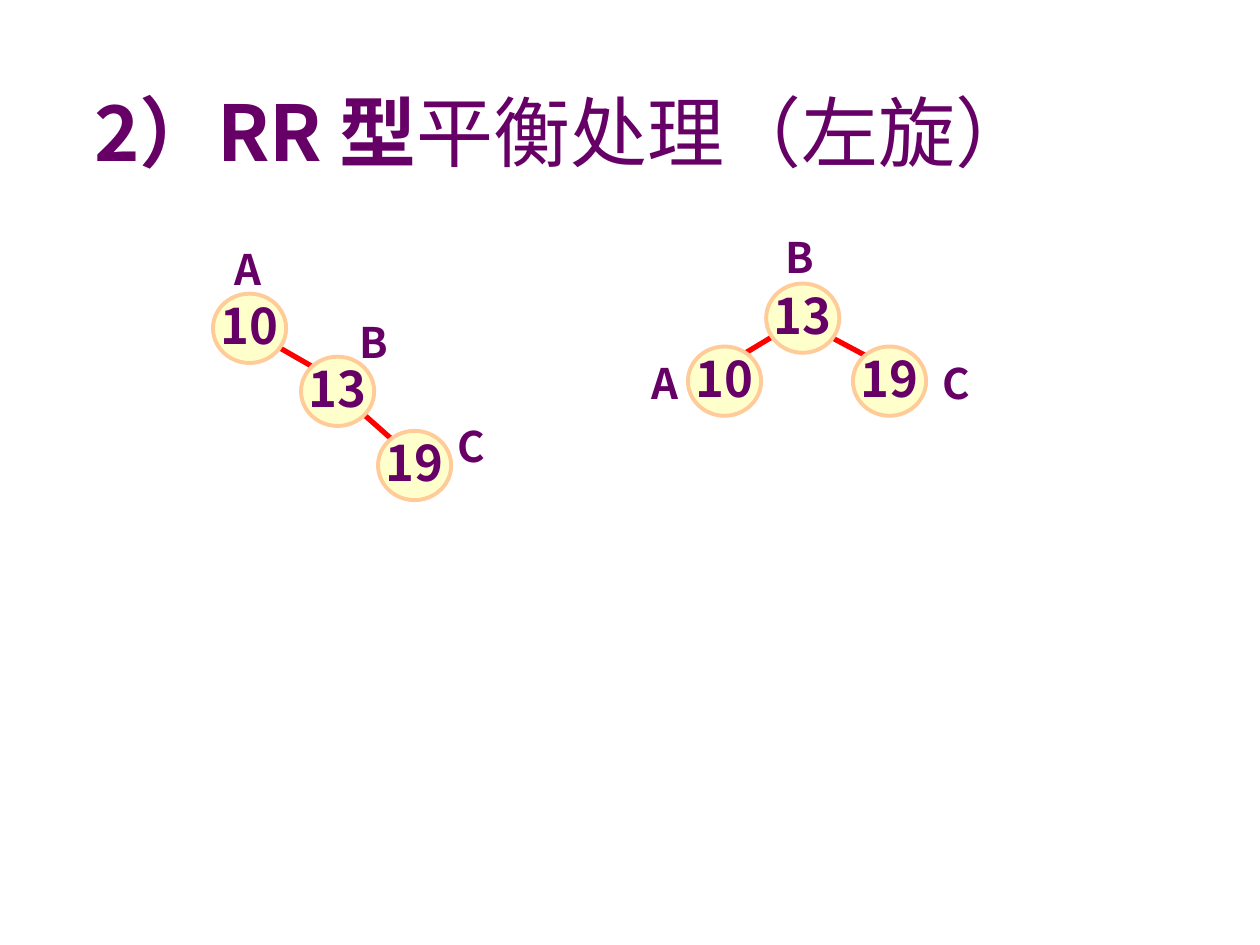
from lxml import etree
from pptx import Presentation
from pptx.dml.color import RGBColor
from pptx.enum import shapes, text
from pptx.oxml.ns import qn
from pptx.util import Pt

PLUM = RGBColor(0x66, 0x00, 0x66)
CREAM = RGBColor(0xFF, 0xFF, 0xCC)
PEACH = RGBColor(0xFF, 0xCC, 0x99)
RED = RGBColor(0xFF, 0x00, 0x00)
FACE = "Noto Sans CJK SC"

# Each tree: edges by their ends, nodes and labels by their left top corner
TREES = [
    ([(153.4, 195.1, 183.6, 212.4), (208, 236.9, 227.5, 254.2)],
     [("10", 121.7, 167.8), ("13", 172, 203.8), ("19", 216, 246.2)],
     [("A", 108.7, 135.4), ("B", 180.7, 177.1), ("C", 236.2, 236.9)]),
    ([(468.7, 189.4, 499.7, 205.9), (419, 205.9, 446.4, 189.4)],
     [("19", 487.4, 198), ("10", 393.1, 198), ("13", 437.8, 162)],
     [("A", 347, 200.9), ("B", 424, 128.9), ("C", 513.4, 200.9)]),
]


class Pen:
    """Draws the parts of the slide in one style."""

    def __init__(self, slide):
        self.slide = slide
        self.group = None

    def style(self, font, size, bold=True):
        """Set the font for Latin and East Asian letters alike."""
        font.name, font.size, font.bold = FACE, Pt(size), bold
        font.color.rgb = PLUM
        latin = font._element.find(qn("a:latin"))
        latin.addnext(etree.Element(qn("a:ea"), typeface=FACE))

    def title(self, parts, x, y, w, h):
        shape = self.slide.shapes.title
        shape.left, shape.top, shape.width, shape.height = map(Pt, (x, y, w, h))
        frame = shape.text_frame
        frame.auto_size = text.MSO_AUTO_SIZE.NONE
        frame.vertical_anchor = text.MSO_ANCHOR.MIDDLE
        para = frame.paragraphs[0]
        para.alignment = text.PP_ALIGN.LEFT
        for words, bold in parts:
            run = para.add_run()
            run.text = words
            self.style(run.font, 44, bold)

    def fill_in(self, frame, words, size):
        para = frame.paragraphs[0]
        para.text = words
        para.alignment = text.PP_ALIGN.CENTER
        self.style(para.font, size)

    def edge(self, *ends):
        line = self.group.shapes.add_connector(
            shapes.MSO_CONNECTOR.STRAIGHT, *map(Pt, ends))
        line.line.color.rgb = RED
        line.line.width = Pt(3)
        etree.SubElement(line._element.spPr, qn("a:effectLst"))

    def node(self, key, x, y):
        disc = self.group.shapes.add_shape(
            shapes.MSO_SHAPE.OVAL, Pt(x), Pt(y), Pt(41.8), Pt(39.6))
        disc.shadow.inherit = False
        disc.fill.solid()
        disc.fill.fore_color.rgb = CREAM
        disc.line.color.rgb = PEACH
        disc.line.width = Pt(2.25)
        frame = disc.text_frame
        frame.word_wrap = False
        frame.margin_left = frame.margin_right = frame.margin_top = 0
        frame.margin_bottom = Pt(4)
        frame.vertical_anchor = text.MSO_ANCHOR.MIDDLE
        self.fill_in(frame, key, 28)

    def label(self, name, x, y):
        box = self.group.shapes.add_textbox(Pt(x), Pt(y), Pt(66), Pt(36))
        frame = box.text_frame
        frame.word_wrap = True
        frame.auto_size = text.MSO_AUTO_SIZE.SHAPE_TO_FIT_TEXT
        self.fill_in(frame, name, 24)

    def tree(self, edges, nodes, labels):
        self.group = self.slide.shapes.add_group_shape()
        for draw, items in ((self.edge, edges), (self.node, nodes),
                            (self.label, labels)):
            for item in items:
                draw(*item)


def main():
    deck = Presentation()
    deck.slide_width, deck.slide_height = Pt(720), Pt(540)
    pen = Pen(deck.slides.add_slide(deck.slide_layouts[5]))
    pen.title([("2）RR 型", True), ("平衡处理（左旋）", False)],
              46.8, 42.5, 612, 64.8)
    for tree in TREES:
        pen.tree(*tree)
    deck.save("out.pptx")


if __name__ == "__main__":
    main()
